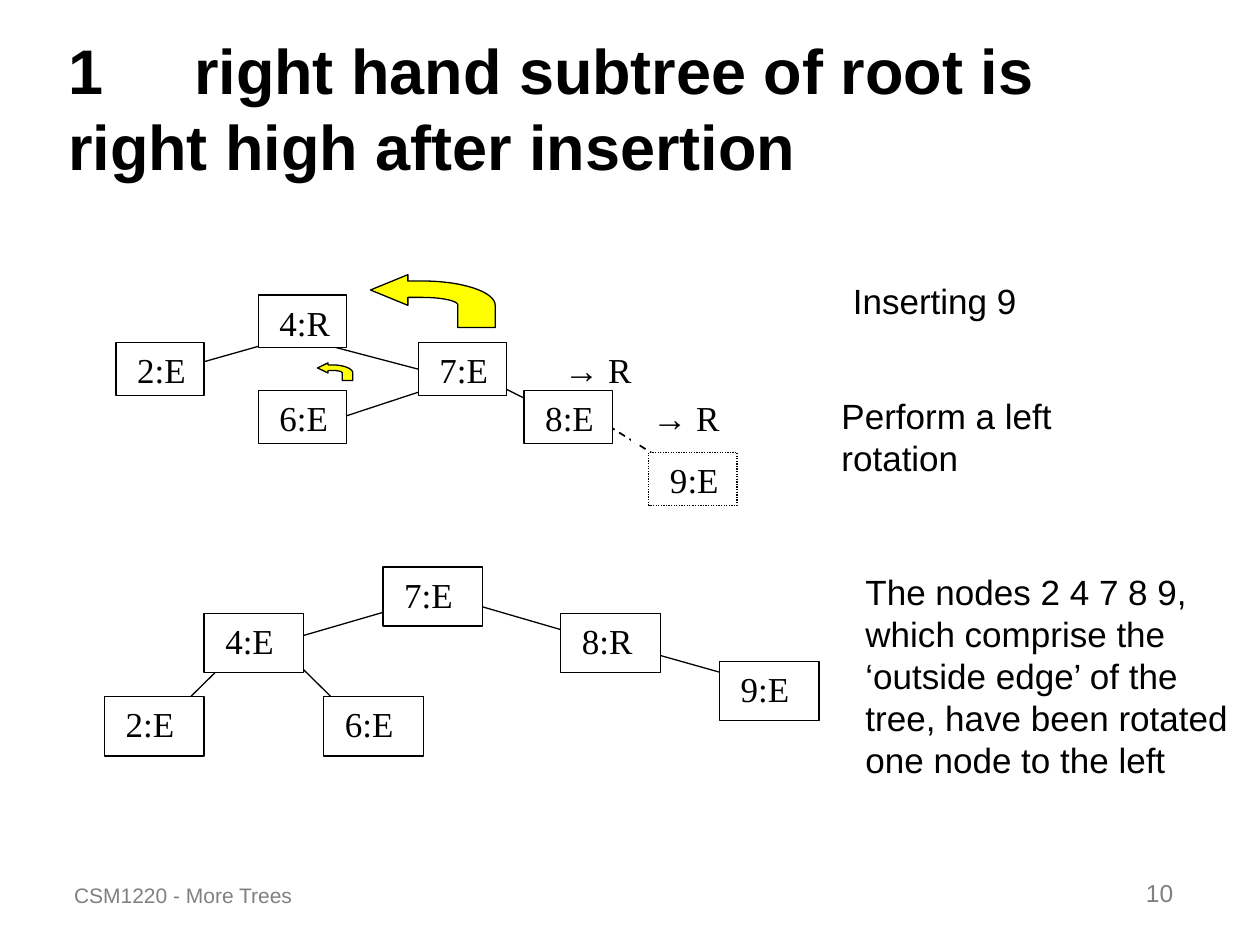
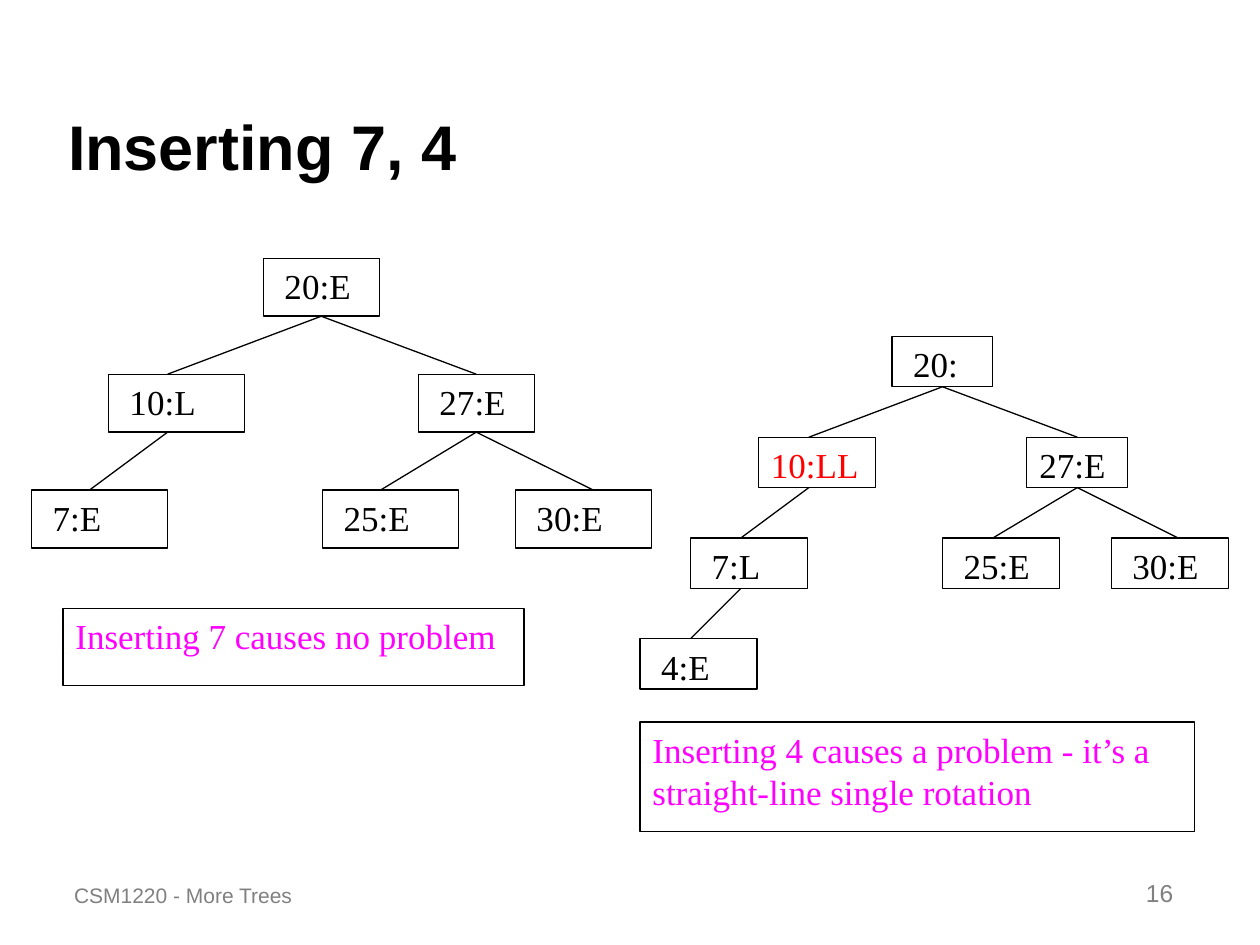
"""Build two slides on rebalancing binary search trees."""
import pptx
import pptx.dml.color
import pptx.enum.dml
import pptx.enum.shapes
import pptx.enum.text
import pptx.util
from lxml import etree
from pptx.oxml.ns import qn

Inches = pptx.util.Inches
Align = pptx.enum.text.PP_ALIGN
Anchor = pptx.enum.text.MSO_ANCHOR
Dash = pptx.enum.dml.MSO_LINE
BLACK, WHITE, GREY = "000000", "FFFFFF", "808080"
RED, PINK, YELLOW = "FF0000", "FF00FF", "FFFF00"
SANS, SERIF = "Arial", "Times New Roman"


def paint(shape, fill=None, line=None, width=0.75, dash=None):
    """Set fill and line of a shape from hex strings and drop its shadow."""
    if fill:
        shape.fill.solid()
        shape.fill.fore_color.rgb = pptx.dml.color.RGBColor.from_string(fill)
    if line:
        shape.line.color.rgb = pptx.dml.color.RGBColor.from_string(line)
        shape.line.width = pptx.util.Pt(width)
        shape.line.dash_style = dash
    elif fill:
        shape.line.fill.background()
    if hasattr(shape, "shadow"):
        shape.shadow.inherit = False
    else:
        etree.SubElement(shape.element.spPr, qn("a:effectLst"))


def write(box, lines, face=SANS, size=20, color=BLACK, bold=False,
          align=Align.LEFT, anchor=Anchor.TOP, wrap=True):
    """Fill a box with paragraphs; arrow signs are set in the sans face."""
    frame = box.text_frame
    settings = {"word_wrap": wrap, "vertical_anchor": anchor,
                "auto_size": pptx.enum.text.MSO_AUTO_SIZE.NONE,
                "margin_left": Inches(0.1), "margin_right": Inches(0.1),
                "margin_top": Inches(0.05), "margin_bottom": Inches(0.05)}
    for name, value in settings.items():
        setattr(frame, name, value)
    for index, line in enumerate(lines):
        para = frame.add_paragraph() if index else frame.paragraphs[0]
        para.alignment = align
        for part in filter(None, line.partition("→")):
            span = para.add_run()
            span.text = part
            span.font.color.rgb = pptx.dml.color.RGBColor.from_string(color)
            looks = {"name": SANS if part == "→" else face,
                     "size": pptx.util.Pt(size), "bold": bold}
            for name, value in looks.items():
                setattr(span.font, name, value)


before_rotation = {
    "nodes": [(" 4:R", 2.05, 2.34, 0.7, 0.42), (" 2:E", 0.92, 2.72, 0.7, 0.42),
              (" 7:E", 3.32, 2.72, 0.7, 0.42), (" 6:E", 2.05, 3.1, 0.7, 0.42),
              (" 9:E", 5.15, 3.59, 0.7, 0.42), (" → R", 4.31, 2.72, 0.99, 0.45),
              (" → R", 5.01, 3.1, 0.99, 0.42), (" 8:E", 4.16, 3.1, 0.7, 0.42)],
    "edges": [((4.75, 3.33), (5.42, 3.75)), ((2.33, 2.67), (1.34, 2.95)),
              ((2.33, 2.67), (" 7:E", 1)), ((3.51, 3.05), (2.66, 3.33)),
              ((3.6, 2.88), (4.16, 3.16))]}
after_rotation = {
    "nodes": [(label, left, top, 0.79, 0.47) for label, left, top in [
        (" 7:E", 3.04, 4.5), (" 4:E", 1.62, 4.87), (" 8:R", 4.45, 4.87),
        (" 2:E", 0.83, 5.53), (" 6:E", 2.57, 5.53), (" 9:E", 5.71, 5.25)]],
    "edges": [((1.99, 5.06), (1.36, 5.68)), ((2.15, 5.06), (2.78, 5.68)),
              ((3.35, 4.77), (2.25, 5.09)), ((3.67, 4.77), (4.77, 5.09)),
              ((5.09, 5.16), (6.19, 5.47))]}
after_seven = {
    "nodes": [(label, left, 2.05 + 0.92 * level, width, 0.46)
              for label, left, level, width in [
                  (" 20:E", 2.09, 0, 0.92), (" 10:L", 0.86, 1, 1.08),
                  (" 27:E", 3.32, 1, 0.92), (" 7:E", 0.25, 2, 1.08),
                  (" 25:E", 2.56, 2, 1.08), (" 30:E", 4.09, 2, 1.08)]],
    "edges": [((" 20:E", 2), (" 27:E", 0)), ((" 20:E", 2), (1.33, 2.97)),
              ((" 27:E", 2), (3.02, 3.89)), ((" 27:E", 2), (4.71, 3.89)),
              ((1.33, 3.43), (0.71, 3.89))]}
after_four = {
    "nodes": [(label, left, 2.67 + 0.8 * level, width, 0.4)
              for label, left, level, width in [
                  (" 20:", 7.08, 0, 0.8), ("10:LL", 6.02, 1, 0.93),
                  ("27:E", 8.15, 1, 0.8), (" 7:L", 5.48, 2, 0.93),
                  (" 25:E", 7.48, 2, 0.93), (" 30:E", 8.82, 2, 0.93),
                  (" 4:E", 5.08, 3, 0.93)]],
    "edges": [((" 20:", 2), ("27:E", 0)), ((" 20:", 2), (6.42, 3.47)),
              (("27:E", 2), (7.88, 4.27)), (("27:E", 2), (9.35, 4.27)),
              ((6.42, 3.87), (5.88, 4.27)), ((5.88, 4.67), (5.48, 5.07))]}
slides = [
    ("1\tright hand subtree of root is \t\tright high after insertion", "10",
     [before_rotation, after_rotation]),
    ("Inserting 7, 4", "16", [after_seven, after_four])]

deck = pptx.Presentation()
deck.slide_width, deck.slide_height = Inches(10), Inches(7.5)
pages = []
for heading, number, trees in slides:
    page = deck.slides.add_slide(deck.slide_layouts[5])
    pages.append(page)
    title = page.shapes.title
    for name, value in {"left": 0.44, "top": 0.25, "width": 9.06, "height": 1.25}.items():
        setattr(title, name, Inches(value))
    write(title, [heading], size=36, bold=True, anchor=Anchor.BOTTOM)
    stops = etree.SubElement(title.text_frame.paragraphs[0]._p.get_or_add_pPr(), qn("a:tabLst"))
    for inch in range(8):
        etree.SubElement(stops, qn("a:tab"), pos=str(Inches(inch)), algn="l")

    for tree in trees:
        boxes = {}
        for label, *place in tree["nodes"]:
            box = page.shapes.add_shape(pptx.enum.shapes.MSO_SHAPE.RECTANGLE, *map(Inches, place))
            is_new = tree is before_rotation and label == " 9:E"
            paint(box, WHITE, None if "→" in label else BLACK,
                  dash=Dash.ROUND_DOT if is_new else None)
            write(box, [label], SERIF, color=RED if label == "10:LL" else BLACK)
            boxes[label] = box
        for index, (start, end) in enumerate(tree["edges"]):
            points = [(0, 0) if isinstance(place[0], str) else place for place in (start, end)]
            edge = page.shapes.add_connector(pptx.enum.shapes.MSO_CONNECTOR.STRAIGHT,
                                             *[Inches(value) for point in points for value in point])
            for place, join in ((start, edge.begin_connect), (end, edge.end_connect)):
                if isinstance(place[0], str):
                    join(boxes[place[0]], place[1])
            is_new = tree is before_rotation and index == 0
            paint(edge, line=BLACK, width=1 if is_new else 0.75, dash=Dash.DASH if is_new else None)
            page.shapes.element.insert(2, edge.element)

    for text, place, size, align in [
            ("CSM1220 - More Trees", (0.49, 6.75, 3, 0.5), 12, Align.LEFT),
            (number, (7.33, 6.75, 2.08, 0.5), 14, Align.RIGHT)]:
        footer = page.shapes.add_textbox(*map(Inches, place))
        write(footer, [text], size=size, color=GREY, align=align, anchor=Anchor.BOTTOM)

rotation_page, insertion_page = pages
for lines, place, wrap in [
        (["Inserting 9"], (6.67, 2.17, 2.42, 0.44), True),
        (["Perform a left rotation"], (6.58, 3.08, 2.67, 0.77), True),
        (["The nodes 2 4 7 8 9,", "which comprise the", "‘outside edge’ of the",
          "tree, have been rotated", "one node to the left"], (6.77, 4.48, 3.08, 1.77), False)]:
    write(rotation_page.shapes.add_textbox(*map(Inches, place)), lines, wrap=wrap)

bends = []
for curve in [((1, 0.58), (1, 0.32), (0.73, 0.12), (0.42, 0.12)),
              ((0.42, 0.43), (0.58, 0.43), (0.7, 0.5), (0.7, 0.57))]:
    bend = []
    for step in range(17):
        t = step / 16
        weights = ((1 - t) ** 3, 3 * t * (1 - t) ** 2, 3 * t * t * (1 - t), t ** 3)
        bend.append([sum(w * point[axis] for w, point in zip(weights, curve)) for axis in (0, 1)])
    bends.append(bend)
arrow_head = [(0.3, 0.12), (0.3, 0), (0, 0.29), (0.3, 0.58), (0.3, 0.43)]
outline = [(1, 1), *bends[0], *arrow_head, *bends[1], (0.7, 1)]
for left, top, width, height in [(2.94, 2.18, 0.99, 0.42), (2.52, 2.88, 0.28, 0.14)]:
    corners = [(Inches(left + width * x), Inches(top + height * y)) for x, y in outline]
    builder = rotation_page.shapes.build_freeform(*corners[0])
    builder.add_line_segments(corners[1:], close=True)
    paint(builder.convert_to_shape(), YELLOW, BLACK)

for text, place in [
        ("Inserting 7 causes no problem", (0.5, 4.83, 3.66, 0.61)),
        ("Inserting 4 causes a problem - it’s a straight-line single rotation",
         (5.08, 5.73, 4.4, 0.87))]:
    comment = insertion_page.shapes.add_shape(pptx.enum.shapes.MSO_SHAPE.RECTANGLE, *map(Inches, place))
    paint(comment, WHITE, BLACK)
    write(comment, [text], SERIF, color=PINK)

deck.save("out.pptx")
